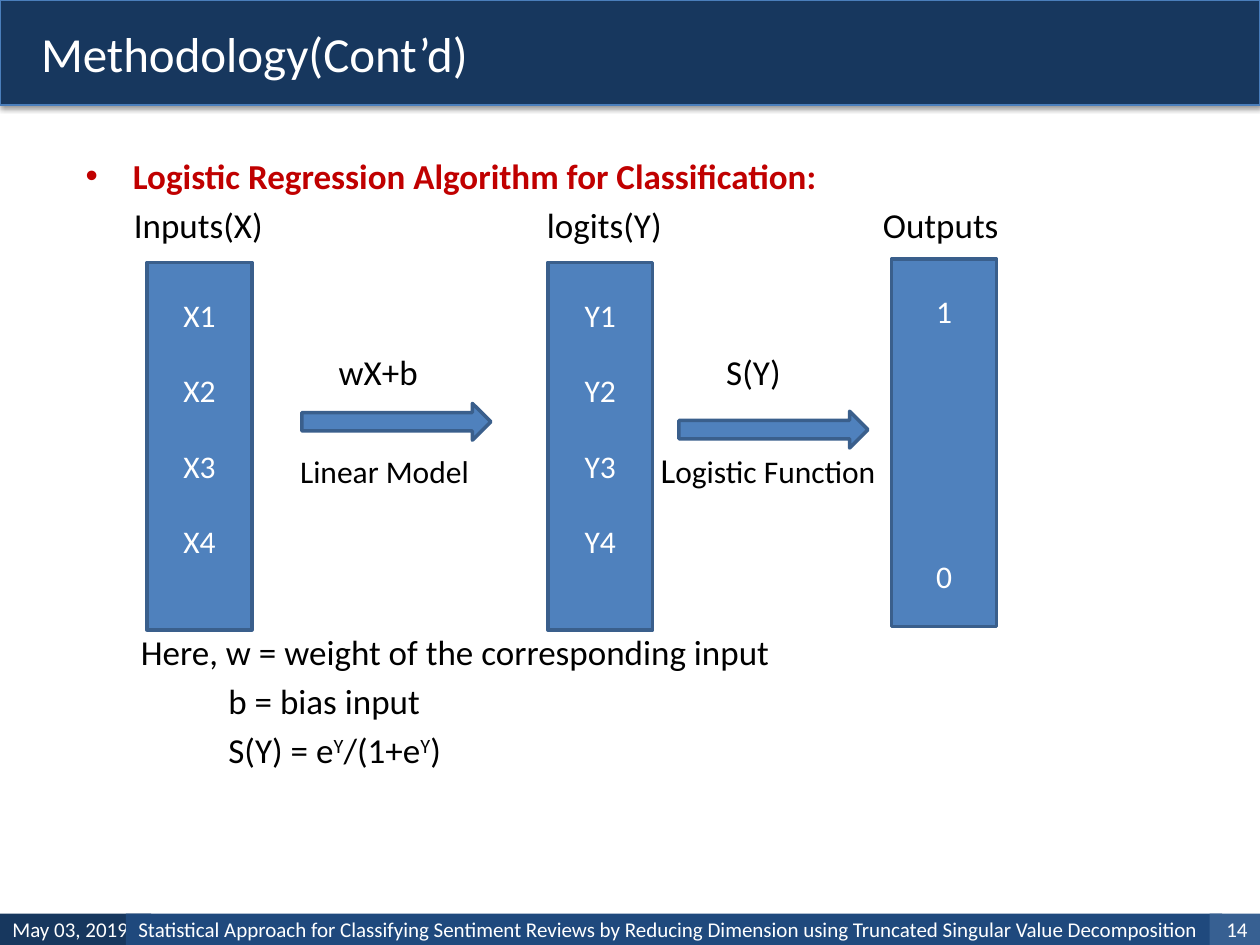
from lxml import etree
from pptx import Presentation
from pptx.dml.color import RGBColor
from pptx.enum.shapes import MSO_SHAPE
from pptx.enum.text import MSO_ANCHOR, PP_ALIGN
from pptx.oxml.ns import qn
from pptx.util import Pt

RECTANGLE, RIGHT_ARROW = MSO_SHAPE.RECTANGLE, MSO_SHAPE.RIGHT_ARROW
TOP, MIDDLE = MSO_ANCHOR.TOP, MSO_ANCHOR.MIDDLE
LEFT, CENTER, RIGHT, JUSTIFY = PP_ALIGN.LEFT, PP_ALIGN.CENTER, PP_ALIGN.RIGHT, PP_ALIGN.JUSTIFY

NAVY = RGBColor(0x17, 0x37, 0x5E)
DARK_BLUE = RGBColor(0x1F, 0x49, 0x7D)
STEEL = RGBColor(0x37, 0x60, 0x92)
BLUE = RGBColor(0x4F, 0x81, 0xBD)
OUTLINE = RGBColor(0x3A, 0x5F, 0x8C)
BAR_LINE = RGBColor(0x4A, 0x7E, 0xBB)
RED = RGBColor(0xC0, 0x00, 0x00)
BLACK = RGBColor(0x00, 0x00, 0x00)
WHITE = RGBColor(0xFF, 0xFF, 0xFF)
FONT = "Calibri"


def style(para, size, color, align=LEFT, bold=False):
    """Set the font and alignment of a paragraph."""
    para.alignment = align
    para.font.name = FONT
    para.font.size = Pt(size)
    para.font.bold = bold
    para.font.color.rgb = color


def add_block(page, box, fill, line=None, width=2, kind=RECTANGLE):
    """Add a filled preset shape in the box, without a shadow."""
    block = page.shapes.add_shape(kind, *map(Pt, box))
    block.shadow.inherit = False
    block.fill.solid()
    block.fill.fore_color.rgb = fill
    if line is None:
        block.line.fill.background()
    else:
        block.line.color.rgb = line
        block.line.width = Pt(width)
    return block


def add_label(page, box, text, size=20, color=BLACK, bold=False):
    """Add a one-line text box without margins and return its paragraph."""
    frame = page.shapes.add_textbox(*map(Pt, box)).text_frame
    frame.margin_left = frame.margin_right = frame.margin_top = frame.margin_bottom = 0
    frame.word_wrap = True
    para = frame.paragraphs[0]
    para.text = text
    style(para, size, color, bold=bold)
    return para


def add_title_bar(page, box, text):
    """Add the title bar with its soft shadow."""
    bar = add_block(page, box, NAVY, BAR_LINE, 0.75)
    effects = bar._element.spPr.find(qn("a:effectLst"))
    shadow = etree.SubElement(effects, qn("a:outerShdw"), blurRad="40000", dist="20000",
                              dir="5400000", rotWithShape="0")
    color = etree.SubElement(shadow, qn("a:srgbClr"), val="000000")
    etree.SubElement(color, qn("a:alpha"), val="38000")
    frame = bar.text_frame
    frame.margin_left = Pt(23.5)
    frame.vertical_anchor = MIDDLE
    frame.text = text
    style(frame.paragraphs[0], 28, WHITE)


def add_heading(page, box, text):
    """Add the red bulleted heading."""
    para = add_label(page, box, "")
    properties = para._p.get_or_add_pPr()
    properties.set("marL", str(Pt(27)))
    properties.set("indent", str(Pt(-27)))
    for child in properties.findall(qn("a:defRPr")):
        properties.remove(child)
    etree.SubElement(properties, qn("a:buFont"), typeface="Arial")
    etree.SubElement(properties, qn("a:buChar"), char="•")
    para.add_run().text = text
    style(para, 20, RED, bold=True)


def add_stage(page, box, values, gap):
    """Add a column of values spaced by the gap."""
    frame = add_block(page, box, BLUE, OUTLINE).text_frame
    frame.vertical_anchor = TOP
    frame.margin_top = Pt(19)
    for index, value in enumerate(values):
        para = frame.add_paragraph() if index else frame.paragraphs[0]
        para.text = value
        style(para, 18, WHITE, CENTER)
        if index:
            para.space_before = Pt(gap)


def add_diagram(page, left, top):
    """Add the three stages, their captions and the arrows between them."""
    stages = (
        (7.5, 0, 0, "Inputs(X)", ("X1", "X2", "X3", "X4"), 21.5),
        (236.5, 236, 0, "logits(Y)", ("Y1", "Y2", "Y3", "Y4"), 21.5),
        (433, 428, -2, "Outputs", ("1", "0"), 129.5),
    )
    for column, caption, shift, name, values, gap in stages:
        add_label(page, (left + caption, top, 90, 24), name)
        add_stage(page, (left + column, top + 34 + shift, 60, 210), values, gap)

    steps = (
        (96, 114.5, "wX+b", 117, "", "Linear Model", 95),
        (311.5, 119, "S(Y)", 338.5, "L", "ogistic Function", 301),
    )
    for arrow, drop, formula, formula_left, initial, name, name_left in steps:
        add_label(page, (left + formula_left, top + 84, 60, 24), formula)
        add_block(page, (left + arrow, top + drop, 108, 21), BLUE, OUTLINE, kind=RIGHT_ARROW)
        name_top = top + (140 if initial else 142)
        para = add_label(page, (left + name_left, name_top, 130, 24), initial + name, 18)
        if initial:
            para.runs[0].text = initial
            para.runs[0].font.size = Pt(20)
            para.add_run().text = name


def add_definitions(page, box):
    """Add the explanation of the symbols, with raised exponents."""
    first = add_label(page, box, "Here, w = weight of the corresponding input")
    frame = first._parent
    lines = ((("b = bias input", False),),
             (("S(Y) = e", False), ("Y", True), ("/(1+e", False), ("Y", True), (")", False)))
    for spans in lines:
        para = frame.add_paragraph()
        para._p.get_or_add_pPr().set("marL", str(Pt(50)))
        para.space_before = Pt(4)
        for text, raised in spans:
            span = para.add_run()
            span.text = text
            if raised:
                span.font._element.set("baseline", "30000")
        style(para, 20, BLACK)


def add_footer(page, top, height):
    """Add the date, the talk title and the page number along the bottom."""
    talk = ("Statistical Approach for Classifying Sentiment Reviews by Reducing Dimension "
            "using Truncated Singular Value Decomposition")
    parts = ((0, 86.4, NAVY, "May 03, 2019", LEFT),
             (72, 626.4, DARK_BLUE, talk, JUSTIFY),
             (691.2, 28.8, STEEL, "14", RIGHT))
    for left, width, fill, text, align in parts:
        frame = add_block(page, (left, top, width, height), fill).text_frame
        frame.vertical_anchor = MIDDLE
        frame.text = text
        style(frame.paragraphs[0], 12, WHITE, align)


def main():
    """Build the methodology slide."""
    deck = Presentation()
    deck.slide_width, deck.slide_height = Pt(720), Pt(540)
    page = deck.slides.add_slide(deck.slide_layouts[6])
    add_title_bar(page, (0, 0, 720, 60), "Methodology(Cont’d)")
    add_heading(page, (49, 88, 620, 24), "Logistic Regression Algorithm for Classification:")
    add_diagram(page, 76.5, 116)
    add_definitions(page, (80.5, 360.5, 580, 82))
    add_footer(page, 522, 18)
    deck.save("out.pptx")


if __name__ == "__main__":
    main()
